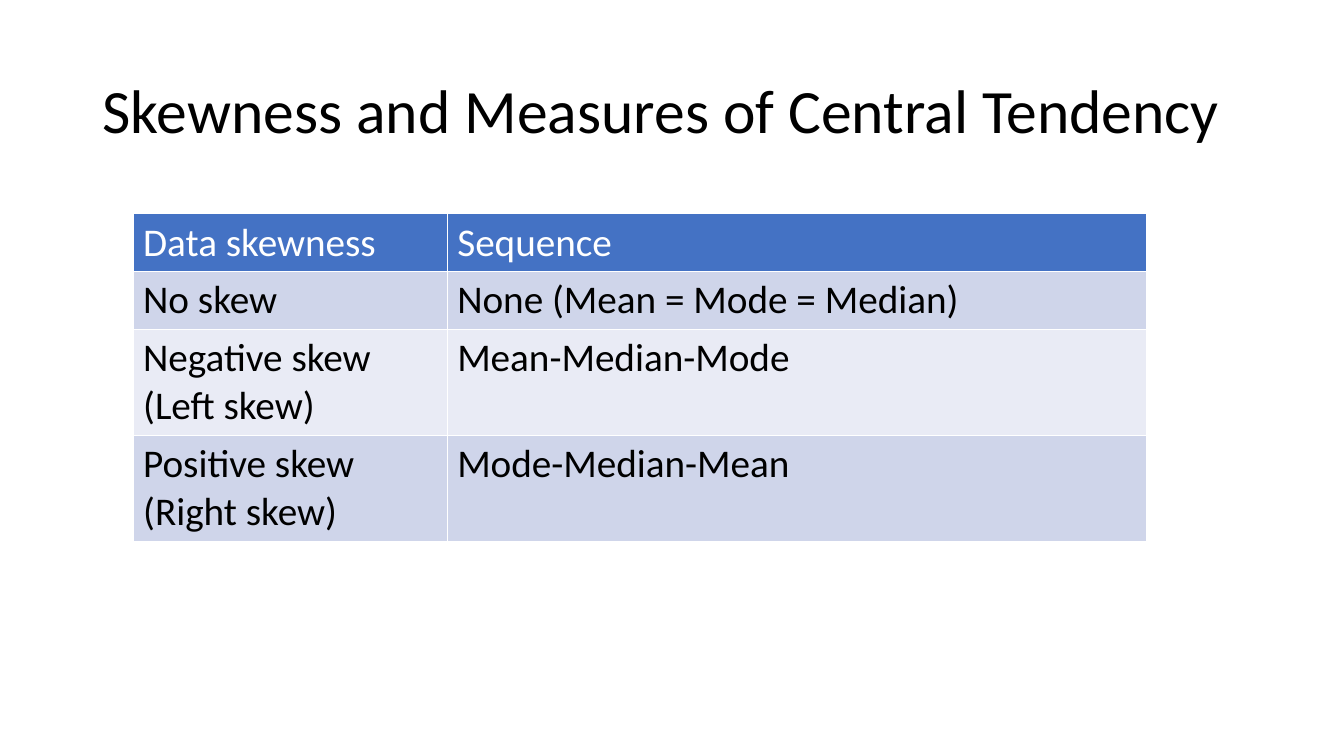
from pptx import Presentation
from pptx.dml.color import RGBColor as RGB
from pptx.enum.text import MSO_ANCHOR as Anchor
from pptx.util import Inches, Pt

WIDE, HIGH = Inches(13.33), Inches(7.5)
BLACK = RGB(0x00, 0x00, 0x00)
WHITE = RGB(0xFF, 0xFF, 0xFF)
BLUE = RGB(0x44, 0x72, 0xC4)
BANDS = RGB(0xE9, 0xEB, 0xF5), RGB(0xCF, 0xD5, 0xEA)

TITLE = "Skewness and Measures of Central Tendency"
ROWS = [
    ("Data skewness", "Sequence"),
    ("No skew", "None (Mean = Mode = Median)"),
    ("Negative skew (Left skew)", "Mean-Median-Mode"),
    ("Positive skew (Right skew)", "Mode-Median-Mean"),
]
COLS = 0.31, 0.69  # shares of the table's width
LINES = 1, 1, 2, 2  # text lines in each row
LINE, PAD = Pt(34.2), Inches(0.1)


def style(para, size, color):
    form = {"name": "Calibri", "size": Pt(size), "bold": False}
    for key, value in form.items():
        setattr(para.font, key, value)
    para.font.color.rgb = color


def add_title(slide, box):
    frame = slide.shapes.add_textbox(*box).text_frame
    frame.word_wrap = True
    frame.vertical_anchor = Anchor.MIDDLE
    para = frame.paragraphs[0]
    para.text = TITLE
    para.line_spacing = 0.9
    style(para, 44, BLACK)


def add_grid(slide, box):
    grid = slide.shapes.add_table(len(ROWS), len(COLS), *box).table
    for col, share in zip(grid.columns, COLS):
        col.width = int(box[2] * share)
    for i, (row, count) in enumerate(zip(grid.rows, LINES)):
        row.height = LINE * count + PAD
        for cell, text in zip(row.cells, ROWS[i]):
            cell.text = text
            cell.fill.solid()
            cell.fill.fore_color.rgb = BANDS[i % 2] if i else BLUE
            style(cell.text_frame.paragraphs[0], 28, BLACK if i else WHITE)


def main():
    deck = Presentation()
    deck.slide_width, deck.slide_height = WIDE, HIGH
    slide = deck.slides.add_slide(deck.slide_layouts[6])
    # Heading
    add_title(slide, (Inches(0.92), Inches(0.4), Inches(11.5), Inches(1.45)))
    # Skewness table
    tall = LINE * sum(LINES) + PAD * len(LINES)
    add_grid(slide, (Inches(1.32), Inches(2.12), Inches(10.05), tall))
    deck.save("out.pptx")


if __name__ == "__main__":
    main()
